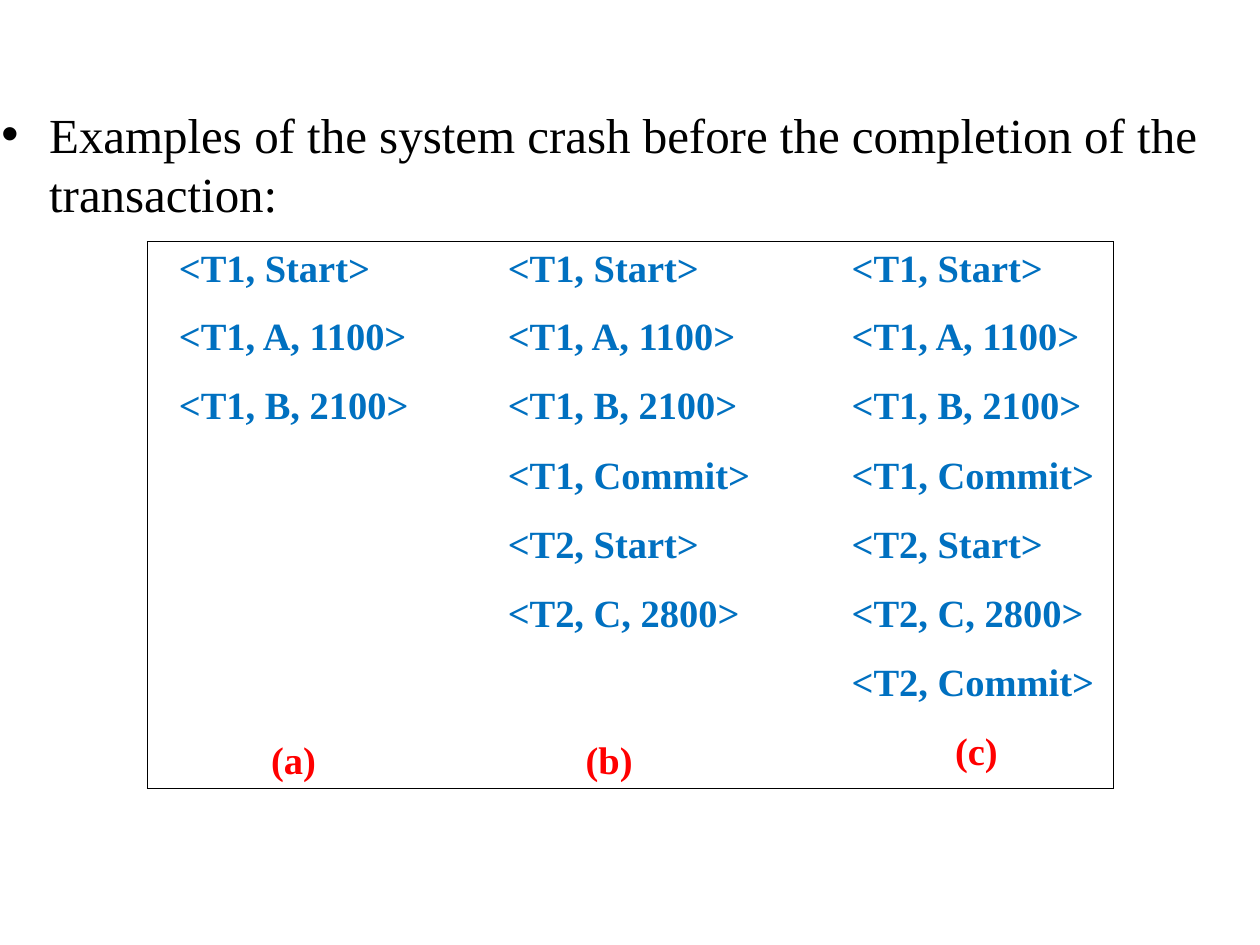
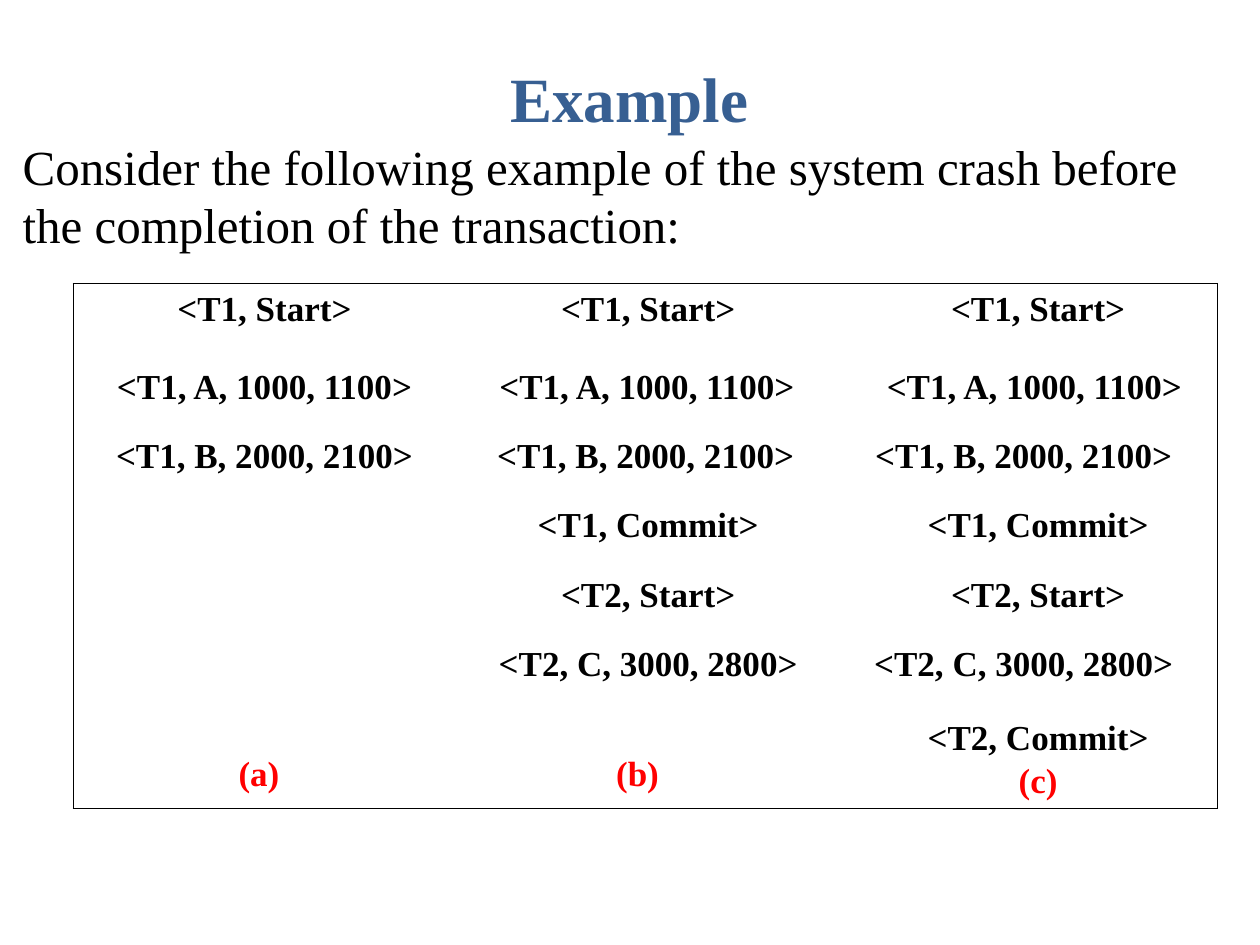
"""Build two slides that compare transaction logs at three crash points."""
from pptx import Presentation
from pptx.dml.color import RGBColor
from pptx.enum.text import MSO_ANCHOR, MSO_AUTO_SIZE, PP_ALIGN
from pptx.oxml import parse_xml
from pptx.oxml.ns import nsdecls
from pptx.util import Inches, Pt

CENTER, LEFT = PP_ALIGN.CENTER, PP_ALIGN.LEFT
TOP, BOTTOM = MSO_ANCHOR.TOP, MSO_ANCHOR.BOTTOM
NO_FIT = MSO_AUTO_SIZE.NONE
FONT = "Times New Roman"
BLACK = RGBColor(0x00, 0x00, 0x00)
BLUE = RGBColor(0x00, 0x70, 0xC0)
NAVY = RGBColor(0x37, 0x5F, 0x92)
RED = RGBColor(0xFF, 0x00, 0x00)
LABELS = ["(a)", "(b)", "(c)"]
ENTRY_COUNTS = [3, 6, 7]

SLIDES = [
    dict(
        title=None,
        body="Examples of the system crash before the completion of the transaction:",
        body_box=(0, 0.83, 9.83, 0.93), bullet="•", left=0.39, hang=-0.38,
        log=["<T1, Start>", "<T1, A, 1100>", "<T1, B, 2100>", "<T1, Commit>",
             "<T2, Start>", "<T2, C, 2800>", "<T2, Commit>"],
        table_box=(1.17, 1.92, 7.67, 4.34), cols=[2.32, 2.69, 2.66],
        rows=[0.54] + [0.55] * 5 + [1.05],
        size=22, color=BLUE, align=LEFT, indents=[0.15, 0.44, 0.48], shifted={},
        label_bottom=0.05, label_before=14.7, line=None,
    ),
    dict(
        title="Example",
        body="Consider the following example of the system crash before "
             "the completion of the transaction:",
        body_box=(0.17, 1.08, 9.58, 0.93), bullet=None, left=0.01, hang=0,
        log=["<T1, Start>", "<T1, A, 1000, 1100>", "<T1, B, 2000, 2100>", "<T1, Commit>",
             "<T2, Start>", "<T2, C, 3000, 2800>", "<T2, Commit>"],
        table_box=(0.58, 2.25, 9.08, 4.17), cols=[2.95, 3.06, 3.07],
        rows=[0.62] + [0.55] * 5 + [0.8],
        size=20, color=BLACK, align=CENTER, indents=[0.09, 0.17, 0.23],
        shifted={(1, 1): 0.15, (2, 1): 0.13, (1, 2): 0.17, (2, 2): 0, (5, 2): 0},
        label_bottom=0.12, label_before=0, line=24.8,
    ),
]


def write(p, text, size=28, color=BLACK, bold=False, align=LEFT, left=0, hang=0,
          bullet=None, before=0, line=None):
    pPr = p._p.get_or_add_pPr()
    pPr.set("marL", str(Inches(left)))
    pPr.set("indent", str(Inches(hang)))
    mark = f'<a:buChar {nsdecls("a")} char="{bullet}"/>' if bullet else f'<a:buNone {nsdecls("a")}/>'
    pPr.append(parse_xml(mark))
    p.alignment = align
    p.space_before = Pt(before)
    if line:
        p.line_spacing = Pt(line)
    r = p.add_run()
    r.text = text
    r.font.name, r.font.size, r.font.bold = FONT, Pt(size), bold
    r.font.color.rgb = color


def place(shape, box):
    shape.left, shape.top, shape.width, shape.height = map(Inches, box)
    tf = shape.text_frame
    tf.margin_left = tf.margin_right = tf.margin_top = tf.margin_bottom = 0
    tf.word_wrap, tf.auto_size, tf.vertical_anchor = True, NO_FIT, TOP
    return tf.paragraphs[0]


prs = Presentation()
prs.slide_width, prs.slide_height = Inches(10), Inches(7.5)

for d in SLIDES:
    s = prs.slides.add_slide(prs.slide_layouts[1])
    title, body = s.placeholders
    if d["title"]:
        write(place(title, (2.45, 0.47, 5.09, 0.61)), d["title"],
              size=36, color=NAVY, bold=True, align=CENTER)
    else:
        title._element.getparent().remove(title._element)
    write(place(body, d["body_box"]), d["body"],
          left=d["left"], hang=d["hang"], bullet=d["bullet"])

    n_rows, n_cols = len(d["rows"]), len(d["cols"])
    table = s.shapes.add_table(n_rows, n_cols, *map(Inches, d["table_box"])).table
    table.first_row = table.horz_banding = False
    for column, width in zip(table.columns, d["cols"]):
        column.width = Inches(width)
    for row, height in zip(table.rows, d["rows"]):
        row.height = Inches(height)

    for i in range(n_rows):
        for j in range(n_cols):
            cell = table.cell(i, j)
            outer = {"L": j == 0, "R": j == n_cols - 1, "T": i == 0, "B": i == n_rows - 1}
            for side, drawn in outer.items():
                fill = f'<a:solidFill><a:srgbClr val="{BLACK}"/></a:solidFill>' if drawn else "<a:noFill/>"
                cell._tc.get_or_add_tcPr().append(parse_xml(
                    f'<a:ln{side} {nsdecls("a")} w="{Pt(0.75)}">{fill}</a:ln{side}>'))
            cell.fill.background()

            p = cell.text_frame.paragraphs[0]
            has_entry = i < ENTRY_COUNTS[j]
            line = d["line"] if outer["B"] and has_entry else None
            indent = d["indents"][j]
            if has_entry:
                write(p, d["log"][i], size=d["size"], color=d["color"], bold=True,
                      align=d["align"], left=d["shifted"].get((i, j), indent), line=line)
            if outer["B"]:
                if has_entry:
                    p = cell.text_frame.add_paragraph()
                else:
                    cell.vertical_anchor = BOTTOM
                    cell.margin_bottom = Inches(d["label_bottom"])
                write(p, LABELS[j], size=d["size"], color=RED, bold=True, align=CENTER,
                      left=indent if has_entry else 0,
                      before=d["label_before"] if has_entry else 0, line=line)

prs.save("out.pptx")
